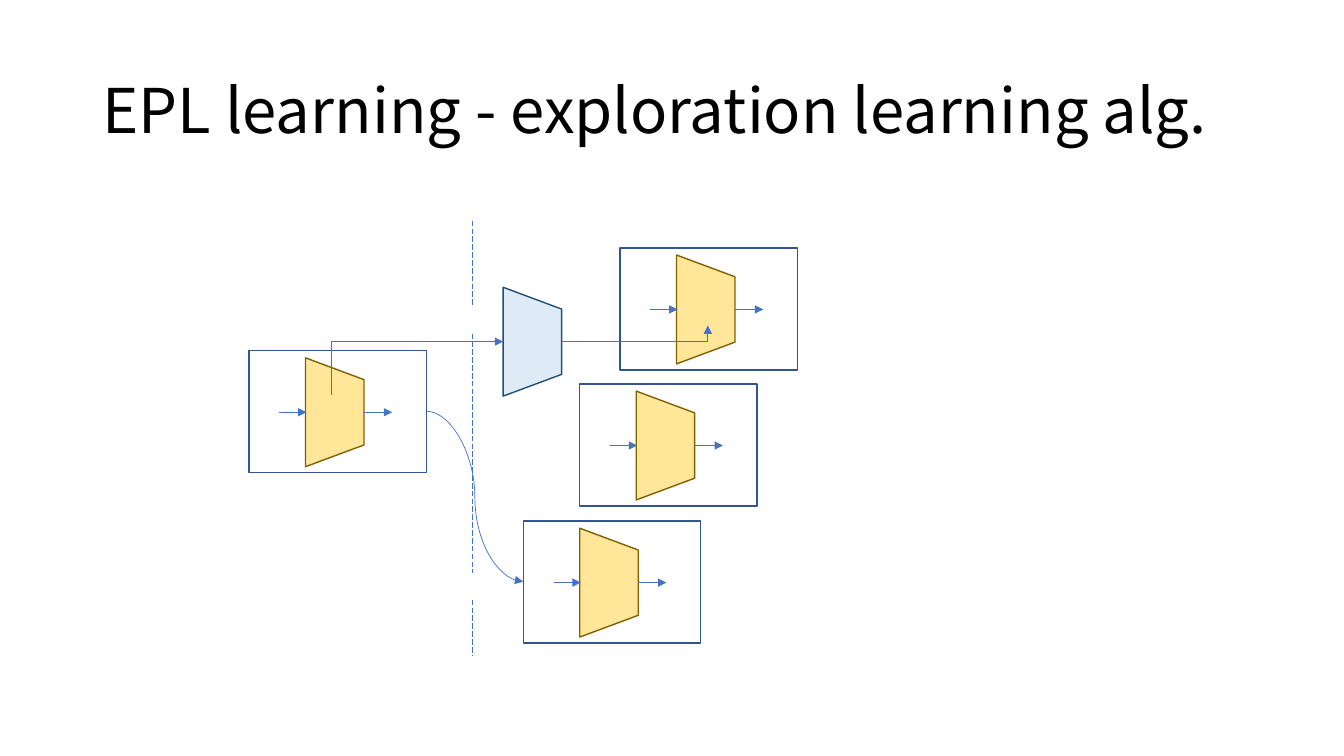
import dataclasses

import pptx
import pptx.dml.color
import pptx.enum.dml
import pptx.enum.shapes
import pptx.enum.text
import pptx.oxml
import pptx.oxml.ns
import pptx.util

Inches = pptx.util.Inches
Pt = pptx.util.Pt
SHAPES = pptx.enum.shapes.MSO_SHAPE
CONNECTORS = pptx.enum.shapes.MSO_CONNECTOR


@dataclasses.dataclass(frozen=True)
class Theme:
    font: str = "Noto Sans CJK KR"
    title_size: float = 44
    text: str = "000000"
    frame: str = "325491"
    arrow: str = "4472C4"
    module_fill: str = "FFE699"
    module_line: str = "806000"
    mapper_fill: str = "DEEBF7"
    mapper_line: str = "1F4E79"
    outline: float = 1
    thin: float = 0.5


THEME = Theme()
MODULE_SIZE = (1.76, 1.21)
MODULE_CENTRE = (0.85, 0.61)
TRAPEZOID_LENGTH, TRAPEZOID_DEPTH = 1.08, 0.58


def rgb(value):
    return pptx.dml.color.RGBColor.from_string(value)


def add_text(page, text, left, top, width, height, *, size, color, font, spacing=1.0):
    box = page.shapes.add_textbox(*map(Inches, (left, top, width, height)))
    frame = box.text_frame
    frame.word_wrap = True
    frame.vertical_anchor = pptx.enum.text.MSO_ANCHOR.MIDDLE
    para = frame.paragraphs[0]
    para.line_spacing = spacing
    span = para.add_run()
    span.text = text
    span.font.size = Pt(size)
    span.font.name = font
    span.font.color.rgb = rgb(color)


def add_outline_shape(page, preset, left, top, width, height, line, fill=None):
    shape = page.shapes.add_shape(preset, *map(Inches, (left, top, width, height)))
    shape.shadow.inherit = False
    if fill:
        shape.fill.solid()
        shape.fill.fore_color.rgb = rgb(fill)
    else:
        shape.fill.background()
    shape.line.color.rgb = rgb(line)
    shape.line.width = Pt(THEME.outline)
    return shape


def add_trapezoid(page, centre_x, centre_y, line, fill):
    """Trapezoid whose wide side faces left."""
    shape = add_outline_shape(
        page, SHAPES.FLOWCHART_MANUAL_OPERATION,
        centre_x - TRAPEZOID_LENGTH / 2, centre_y - TRAPEZOID_DEPTH / 2,
        TRAPEZOID_LENGTH, TRAPEZOID_DEPTH, line, fill)
    shape.rotation = 270


def add_link(page, start, end, kind=CONNECTORS.STRAIGHT, arrow=True):
    link = page.shapes.add_connector(kind, *map(Inches, (*start, *end)))
    link.line.color.rgb = rgb(THEME.arrow)
    link.line.width = Pt(THEME.thin)
    if arrow:
        pptx.oxml.ns.qn("a:tailEnd")
        tail = pptx.oxml.parse_xml(
            f'<a:tailEnd {pptx.oxml.ns.nsdecls("a")} type="triangle"/>')
        link.line._get_or_add_ln().append(tail)
    else:
        link.line.dash_style = pptx.enum.dml.MSO_LINE.LONG_DASH
    effects = pptx.oxml.parse_xml(f'<a:effectLst {pptx.oxml.ns.nsdecls("a")}/>')
    link._element.spPr.append(effects)
    return link


def add_corner_link(page, start, end, vertical_first=False):
    """Arrow with a single right-angled bend."""
    if vertical_first:
        middle_x, middle_y = (start[0] + end[0]) / 2, (start[1] + end[1]) / 2
        half_width, half_height = (start[1] - end[1]) / 2, (end[0] - start[0]) / 2
        start = (middle_x + half_width, middle_y + half_height)
        end = (middle_x - half_width, middle_y - half_height)
    link = add_link(page, start, end, CONNECTORS.ELBOW)
    properties = link._element.spPr
    properties.find(pptx.oxml.ns.qn("a:prstGeom")).set("prst", "bentConnector2")
    if vertical_first:
        properties.find(pptx.oxml.ns.qn("a:xfrm")).set("rot", str(90 * 60000))


def add_module(page, left, top):
    """Framed trapezoid with one arrow in and one arrow out."""
    centre_x, centre_y = left + MODULE_CENTRE[0], top + MODULE_CENTRE[1]
    add_trapezoid(page, centre_x, centre_y, THEME.module_line, THEME.module_fill)
    add_outline_shape(page, SHAPES.RECTANGLE, left, top, *MODULE_SIZE, THEME.frame)
    for first, last in ((0.3, 0.57), (1.14, 1.42)):
        add_link(page, (left + first, centre_y), (left + last, centre_y))


def add_divider(page, x, dashes):
    for top, bottom in dashes:
        add_link(page, (x, top), (x, bottom), arrow=False)


def add_diagram(page, left, top):
    """Source module, mapper and explored modules, from the source's corner."""
    mapper_x, mapper_y = left + 2.81, top - 0.09
    add_trapezoid(page, mapper_x, mapper_y, THEME.mapper_line, THEME.mapper_fill)
    for across, down in ((0, 0), (2.72, 1.69), (3.28, 0.33), (3.68, -1.02)):
        add_module(page, left + across, top + down)
    half_depth = TRAPEZOID_DEPTH / 2
    add_corner_link(page, (left + 0.82, top + 0.44),
                    (mapper_x - half_depth, mapper_y), vertical_first=True)
    add_corner_link(page, (mapper_x + half_depth, mapper_y),
                    (left + 4.55, top - 0.25))
    add_link(page, (left + MODULE_SIZE[0], top + 0.6), (left + 2.72, top + 2.29),
             CONNECTORS.CURVE)
    add_divider(page, left + 2.22, ((top - 1.29, top - 0.45),
                                    (top - 0.17, top + 2.2),
                                    (top + 2.47, top + 3.02)))


def main():
    deck = pptx.Presentation()
    deck.slide_width, deck.slide_height = Inches(13.33), Inches(7.5)
    page = deck.slides.add_slide(deck.slide_layouts[6])
    add_diagram(page, 2.47, 3.48)
    add_text(page, "EPL learning - exploration learning alg.", 0.92, 0.4, 11.5, 1.45,
             size=THEME.title_size, color=THEME.text, font=THEME.font, spacing=0.9)
    deck.save("out.pptx")


if __name__ == "__main__":
    main()
